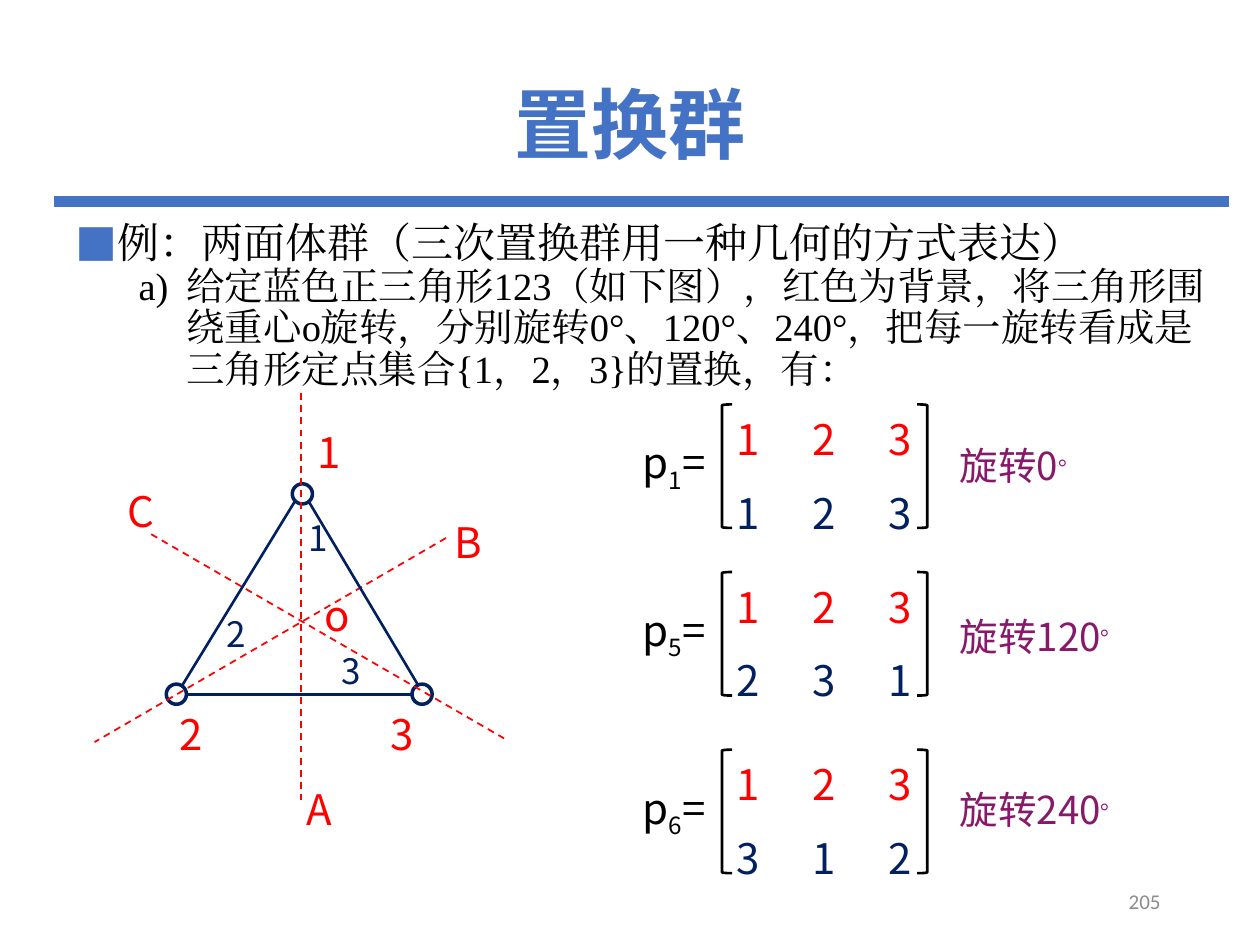
"""Builds a slide on the rotations of a triangle as permutations."""
from lxml import etree
from pptx import Presentation
from pptx.dml.color import RGBColor
from pptx.enum.dml import MSO_LINE
from pptx.enum.shapes import MSO_CONNECTOR as Link, MSO_SHAPE as Shape
from pptx.enum.text import MSO_ANCHOR as Anchor, MSO_AUTO_SIZE as Fit, PP_ALIGN as Align
from pptx.oxml.ns import qn
from pptx.util import Inches, Pt

COLORS = {"accent": "4472C4", "black": "000000", "red": "FF0000", "navy": "002060",
          "purple": "87196A", "gray": "8C8C8C"}
SANS = "Noto Sans CJK SC"

deck = Presentation()
deck.slide_width, deck.slide_height = Inches(10), Inches(7.5)
column, row = deck.slide_width / 100, deck.slide_height / 75
page = deck.slides.add_slide(deck.slide_layouts[1])
shapes = page.shapes


def write(frame, pieces, size, color, align=Align.CENTER, font=SANS):
    """Fills a frame with one paragraph of (text, baseline) pieces."""
    frame.word_wrap, frame.auto_size = True, Fit.NONE
    frame.vertical_anchor = Anchor.MIDDLE
    para = frame.paragraphs[0]
    para.alignment = align
    for text, baseline in pieces:
        span = para.add_run()
        span.text = text
        span.font.size, span.font.name = Pt(size), font
        span.font.color.rgb = RGBColor.from_string(COLORS[color])
        etree.SubElement(span.font._element, qn("a:ea"), typeface=font)
        if baseline:
            span.font._element.set("baseline", str(baseline * 1000))
    return para


def draw_line(start, end, color, width, dashed=False):
    """Draws a straight line between two grid points."""
    line = shapes.add_connector(Link.STRAIGHT, int(start[0] * column), int(start[1] * row),
                                int(end[0] * column), int(end[1] * row))
    line.line.color.rgb = RGBColor.from_string(COLORS[color])
    line.line.width = Pt(width)
    if dashed:
        line.line.dash_style = MSO_LINE.DASH
    etree.SubElement(line._element.spPr, qn("a:effectLst"))


draw_line((4.3, 16), (97.5, 16), "accent", 6)

title, body = shapes.title, page.placeholders[1]
for box, (left, top, width, height) in ((title, (6.9, 4, 86.2, 12.4)),
                                        (body, (5, 17.1, 92.1, 20.5))):
    box.left, box.top = int(left * column), int(top * row)
    box.width, box.height = int(width * column), int(height * row)
heading = write(title.text_frame, [("置换群", 0)], 44, "accent")
heading.line_spacing = 0.9
heading.runs[0].font.bold = True

frame = body.text_frame
frame.text = ("例：两面体群（三次置换群用一种几何的方式表达）\n"
              "给定蓝色正三角形123（如下图），红色为背景，将三角形围绕重心o旋转，"
              "分别旋转0°、120°、240°，把每一旋转看成是三角形定点集合{1，2，3}的置换，有：")
frame.auto_size, frame.vertical_anchor = Fit.NONE, Anchor.TOP
bullets = (("buChar", {"char": "■"}, "accent", 24, 0.25, -0.25),
           ("buAutoNum", {"type": "alphaLcParenR"}, "black", 22, 0.88, -0.38))
for level, (para, bullet) in enumerate(zip(frame.paragraphs, bullets)):
    tag, settings, color, size, margin, indent = bullet
    para.level, para.line_spacing = level, 0.9
    para.space_before = para.space_after = Pt(0)
    props = para._p.get_or_add_pPr()
    props.set("marL", str(Inches(margin)))
    props.set("indent", str(Inches(indent)))
    tint = etree.SubElement(props, qn("a:buClr"))
    etree.SubElement(tint, qn("a:srgbClr"), val=COLORS[color])
    etree.SubElement(props, qn("a:buFont"), typeface=SANS)
    etree.SubElement(props, qn("a:" + tag), settings)
    font = para.runs[0].font
    font.size, font.name = Pt(size), "Times New Roman"
    font.color.rgb = RGBColor.from_string(COLORS["black"])
    etree.SubElement(font._element, qn("a:ea"), typeface="Times New Roman")

number = shapes.add_textbox(int(70.6 * column), int(69.5 * row), int(22.5 * column), int(4 * row))
write(number.text_frame, [("205", 0)], 12, "gray", Align.RIGHT, "Calibri")

permutations = (("1", "123", "0", 31.8, 34.2), ("5", "231", "120", 45.1, 47.7),
                ("6", "312", "240", 59.2, 61.5))
for index, image, angle, top, angle_top in permutations:
    table = shapes.add_table(2, 3, int(56.4 * column), int(top * row),
                             int(18 * column), int(9 * row)).table
    table.first_row = table.horz_banding = False
    for r, (digits, color) in enumerate((("123", "red"), (image, "navy"))):
        table.rows[r].height = int(4.5 * row)
        for c, digit in enumerate(digits):
            cell = table.cell(r, c)
            cell.fill.background()
            cell.vertical_anchor = Anchor.MIDDLE
            write(cell.text_frame, [(digit, 0)], 24, color)

    name = shapes.add_textbox(int(48.4 * column), int((top + 2.4) * row),
                              int(10.2 * column), int(5.5 * row))
    write(name.text_frame, [("p", 0), (index, -25), ("=", 0)], 24, "black")
    for left, flip in ((57.3, "0"), (72.8, "1")):
        bracket = shapes.add_shape(Shape.LEFT_BRACKET, int(left * column), int((top + 0.3) * row),
                                   int(0.8 * column), int(9.8 * row))
        bracket.shadow.inherit = False
        bracket.fill.background()
        bracket.line.color.rgb = RGBColor.from_string(COLORS["black"])
        bracket.line.width = Pt(1.5)
        bracket._element.spPr.xfrm.set("flipH", flip)
    rotation = shapes.add_textbox(int(75.2 * column), int(angle_top * row),
                                  int(15.7 * column), int(5.5 * row))
    write(rotation.text_frame, [("旋转" + angle, 0), ("。", 40)], 22, "purple", Align.LEFT)

for left, top in ((23.2, 38.4), (32.7, 54.3), (13.2, 54.3)):
    vertex = shapes.add_shape(Shape.OVAL, int(left * column), int(top * row),
                              int(1.6 * column), int(1.6 * row))
    vertex.shadow.inherit = False
    vertex.fill.background()
    vertex.line.color.rgb = RGBColor.from_string(COLORS["navy"])
    vertex.line.width = Pt(2)

for start, end in (((23.9, 31.2), (23.9, 63.5)), ((35.4, 42.7), (7.5, 58.9)),
                   ((12, 42.4), (40, 58.6))):
    draw_line(start, end, "red", 1, dashed=True)
for start, end in (((14.4, 54.5), (23.4, 39.8)), ((33.2, 54.4), (24.5, 39.8)),
                   ((14.7, 55.1), (32.8, 55.1))):
    draw_line(start, end, "navy", 1.5)

labels = (("1", 22.6, 33.1, 24, "red"), ("3", 28.4, 55.5, 24, "red"),
          ("2", 11.6, 55.5, 24, "red"), ("A", 21.8, 61.4, 24, "red"),
          ("B", 33.6, 40.2, 24, "red"), ("C", 7.6, 37.8, 24, "red"),
          ("1", 21.7, 39.9, 20, "navy"), ("3", 24.3, 50.5, 20, "navy"),
          ("2", 15.2, 47.5, 20, "navy"), ("o", 23.2, 46, 24, "red"))
for text, left, top, size, color in labels:
    label = shapes.add_textbox(int(left * column), int(top * row),
                               int(7.1 * column), int(5.5 * row))
    write(label.text_frame, [(text, 0)], size, color)

deck.save("out.pptx")
